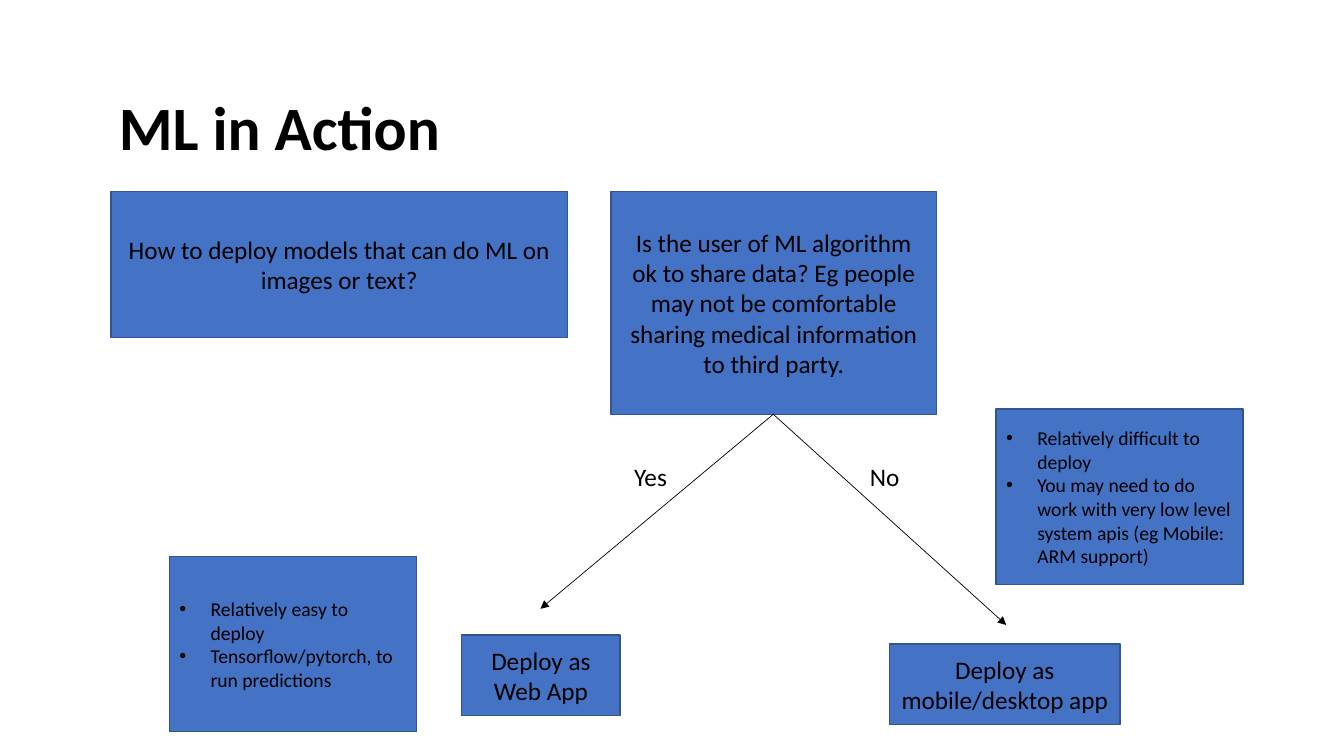
from pptx import Presentation
from pptx.dml.color import RGBColor
from pptx.enum.shapes import MSO_CONNECTOR as Connector, MSO_SHAPE as Shape
from pptx.enum.text import MSO_ANCHOR as Anchor, MSO_AUTO_SIZE as AutoSize, PP_ALIGN as Align
from pptx.oxml.ns import qn
from pptx.util import Inches, Pt
from lxml.etree import SubElement


def color(value):
    return RGBColor.from_string(value)


class FlowSlide:
    font = "Calibri"
    ink = "000000"
    fill = "4472C4"
    border = "325491"
    bullet_indent = Inches(0.31)

    def __init__(self, page):
        self.page = page

    def add_text(self, shape, lines, size=18, bold=False, bullets=False, frame_format=None, para_format=None):
        frame = shape.text_frame
        for name, value in (frame_format or {}).items():
            setattr(frame, name, value)
        for index, line in enumerate(lines):
            para = frame.add_paragraph() if index else frame.paragraphs[0]
            for name, value in (para_format or {}).items():
                setattr(para, name, value)
            if bullets:
                self.add_bullet(para)
            span = para.add_run()
            span.text = line
            for name, value in {"name": self.font, "size": Pt(size), "bold": bold}.items():
                setattr(span.font, name, value)
            span.font.color.rgb = color(self.ink)

    def add_bullet(self, para):
        properties = para._p.get_or_add_pPr()
        properties.set("marL", str(self.bullet_indent))
        properties.set("indent", str(-self.bullet_indent))
        SubElement(properties, qn("a:buFont"), typeface="Arial")
        SubElement(properties, qn("a:buChar"), char="•")

    def box(self, place, lines, bullets=False):
        box = self.page.shapes.add_shape(Shape.RECTANGLE, *map(Inches, place))
        box.shadow.inherit = False
        box.fill.solid()
        box.fill.fore_color.rgb = color(self.fill)
        box.line.color.rgb = color(self.border)
        box.line.width = Pt(1)
        self.add_text(
            box, lines, size=14 if bullets else 18, bullets=bullets,
            frame_format={"word_wrap": True, "vertical_anchor": Anchor.MIDDLE},
            para_format={"alignment": Align.LEFT if bullets else Align.CENTER},
        )

    def label(self, place, text):
        box = self.page.shapes.add_textbox(*map(Inches, place))
        self.add_text(box, [text], frame_format={"word_wrap": False, "auto_size": AutoSize.SHAPE_TO_FIT_TEXT})

    def title(self, place, text):
        box = self.page.shapes.add_textbox(*map(Inches, place))
        self.add_text(
            box, [text], size=44, bold=True,
            frame_format={"word_wrap": True, "vertical_anchor": Anchor.MIDDLE},
            para_format={"line_spacing": 0.9},
        )

    def arrow(self, start, end):
        arrow = self.page.shapes.add_connector(Connector.STRAIGHT, *map(Inches, start + end))
        arrow.line.color.rgb = color(self.ink)
        arrow.line.width = Pt(0.5)
        properties = arrow._element.spPr
        SubElement(properties.find(qn("a:ln")), qn("a:tailEnd"), type="triangle")
        SubElement(properties, qn("a:effectLst"))


def main():
    deck = Presentation()
    deck.slide_width = Inches(13.33)
    deck.slide_height = Inches(7.5)
    slide = FlowSlide(deck.slides.add_slide(deck.slide_layouts[6]))

    slide.box((1.1, 1.9, 4.53, 1.45), ["How to deploy models that can do ML on images or text?"])
    slide.box((6.06, 1.9, 3.23, 2.21), [
        "Is the user of ML algorithm ok to share data? Eg people may not be "
        "comfortable sharing medical information to third party."
    ])

    decision = (7.67, 4.11)
    for target in ((5.36, 6.04), (9.98, 6.2)):
        slide.arrow(decision, target)
    slide.label((6.19, 4.53, 0.59, 0.4), "Yes")
    slide.label((8.53, 4.53, 0.56, 0.4), "No")

    slide.box((4.58, 6.3, 1.57, 0.8), ["Deploy as Web App"])
    slide.box((8.82, 6.39, 2.29, 0.8), ["Deploy as mobile/desktop app"])
    slide.box((1.68, 5.52, 2.45, 1.74), [
        "Relatively easy to deploy",
        "Tensorflow/pytorch, to run predictions",
    ], bullets=True)
    slide.box((9.88, 4.06, 2.45, 1.74), [
        "Relatively difficult to deploy",
        "You may need to do work with very low level system apis (eg Mobile: ARM support)",
    ], bullets=True)
    slide.title((1.08, 0.57, 11.5, 1.45), "ML in Action")

    deck.save("out.pptx")


if __name__ == "__main__":
    main()
